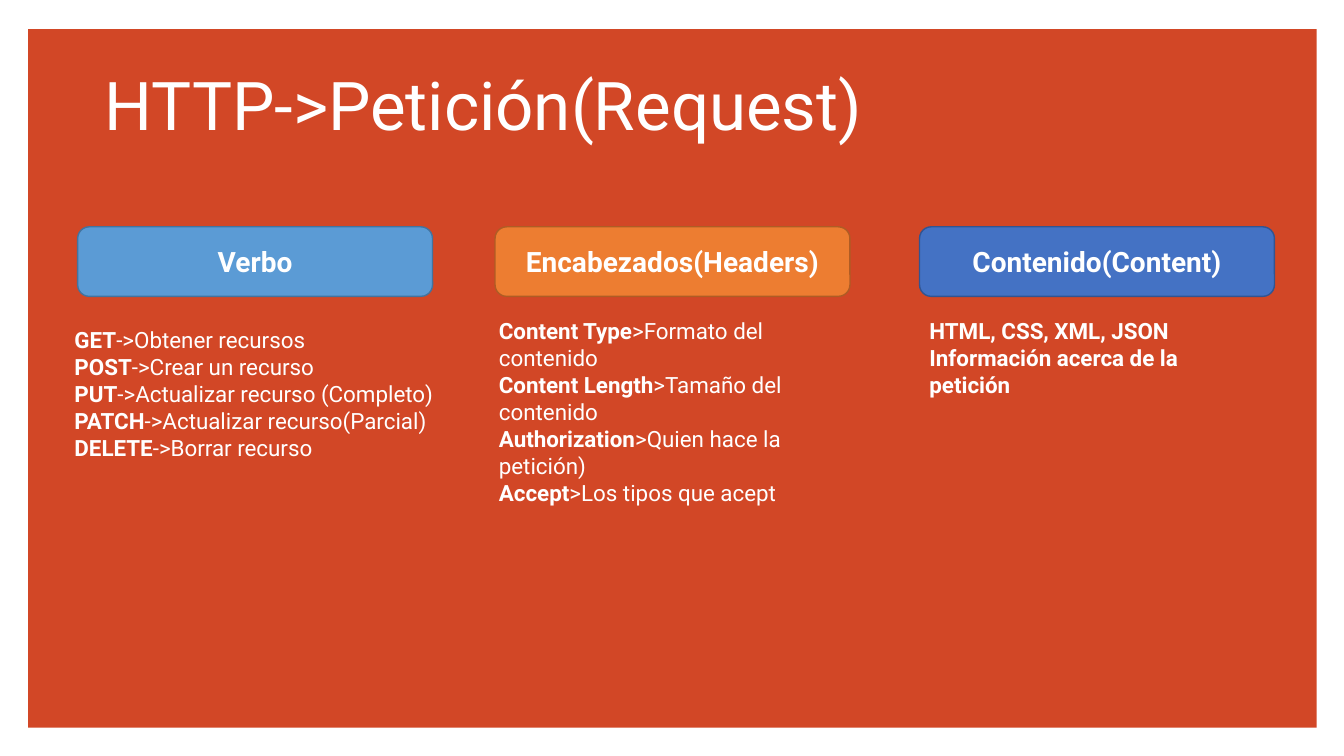
from dataclasses import dataclass

from pptx import Presentation
from pptx.dml.color import RGBColor
from pptx.enum.shapes import MSO_SHAPE
from pptx.enum.text import MSO_ANCHOR, PP_ALIGN
from pptx.util import Pt

RECT, ROUND_RECT = MSO_SHAPE.RECTANGLE, MSO_SHAPE.ROUNDED_RECTANGLE
TOP, MIDDLE = MSO_ANCHOR.TOP, MSO_ANCHOR.MIDDLE
CENTER = PP_ALIGN.CENTER
BLANK = 6
EMU_PER_PX = 9144  # 100 px to the inch


def px(n):
    return n * EMU_PER_PX


@dataclass(frozen=True)
class Theme:
    font: str = "Roboto"
    text: str = "FFFFFF"
    panel: str = "D24726"
    blue: tuple = ("5B9BD5", "43739E")
    orange: tuple = ("ED7D31", "AF5C24")
    indigo: tuple = ("4472C4", "325491")
    title_size: int = 48
    heading_size: int = 20
    body_size: int = 16


class SlideBuilder:
    def __init__(self, slide, theme):
        self.slide = slide
        self.theme = theme

    def style_run(self, r, size, bold=False):
        r.font.name = self.theme.font
        r.font.size = Pt(size)
        r.font.bold = bold
        r.font.color.rgb = RGBColor.from_string(self.theme.text)

    def box(self, kind, bounds, fill, line=None):
        sp = self.slide.shapes.add_shape(kind, *map(px, bounds))
        sp.shadow.inherit = False
        sp.fill.solid()
        sp.fill.fore_color.rgb = RGBColor.from_string(fill)
        if line:
            sp.line.color.rgb = RGBColor.from_string(line)
            sp.line.width = Pt(1)
        else:
            sp.line.fill.background()
        return sp

    def heading(self, bounds, text, colors):
        tf = self.box(ROUND_RECT, bounds, *colors).text_frame
        tf.text = text
        tf.vertical_anchor = MIDDLE
        p = tf.paragraphs[0]
        p.alignment = CENTER
        self.style_run(p.runs[0], self.theme.heading_size, bold=True)

    def text(self, bounds, lines, size, anchor=TOP):
        """Write one paragraph per (bold part, regular part) pair."""
        tf = self.slide.shapes.add_textbox(*map(px, bounds)).text_frame
        tf.word_wrap = True
        tf.vertical_anchor = anchor
        for i, (strong, plain) in enumerate(lines):
            p = tf.add_paragraph() if i else tf.paragraphs[0]
            for part, bold in ((strong, True), (plain, False)):
                if part:
                    r = p.add_run()
                    r.text = part
                    self.style_run(r, size, bold)


def main():
    prs = Presentation()
    prs.slide_width, prs.slide_height = px(1333), px(750)
    theme = Theme()
    s = SlideBuilder(prs.slides.add_slide(prs.slide_layouts[BLANK]), theme)

    s.box(RECT, (28, 29, 1278, 693), theme.panel)
    s.text((94, 51, 1150, 104), [("", "HTTP->Petición(Request)")],
           theme.title_size, MIDDLE)

    columns = [
        (77, "Verbo", theme.blue, (64, 319, 378, 145), [
            ("GET", "->Obtener recursos"),
            ("POST", "->Crear un recurso"),
            ("PUT", "->Actualizar recurso (Completo)"),
            ("PATCH", "->Actualizar recurso(Parcial)"),
            ("DELETE", "->Borrar recurso"),
        ]),
        (491, "Encabezados(Headers)", theme.orange, (485, 310, 363, 199), [
            ("Content Type", ">Formato del contenido"),
            ("Content Length", ">Tamaño del contenido"),
            ("Authorization", ">Quien hace la petición)"),
            ("Accept", ">Los tipos que acept"),
        ]),
        (912, "Contenido(Content)", theme.indigo, (912, 310, 332, 91), [
            ("HTML, CSS, XML, JSON", ""),
            ("Información acerca de la petición", ""),
        ]),
    ]
    for left, label, colors, body_bounds, lines in columns:
        s.heading((left, 225, 352, 69), label, colors)
        s.text(body_bounds, lines, theme.body_size)

    prs.save("out.pptx")


if __name__ == "__main__":
    main()
